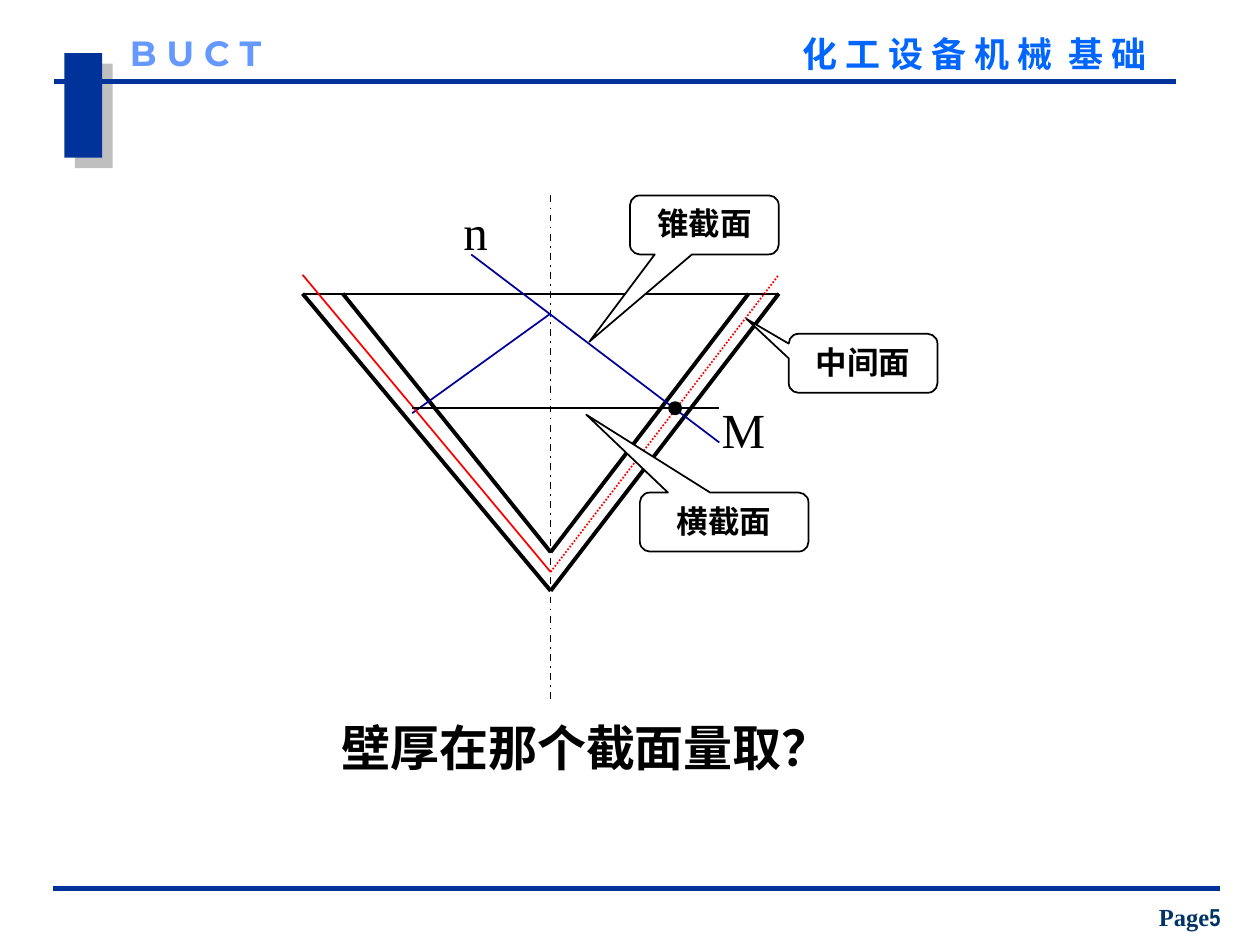
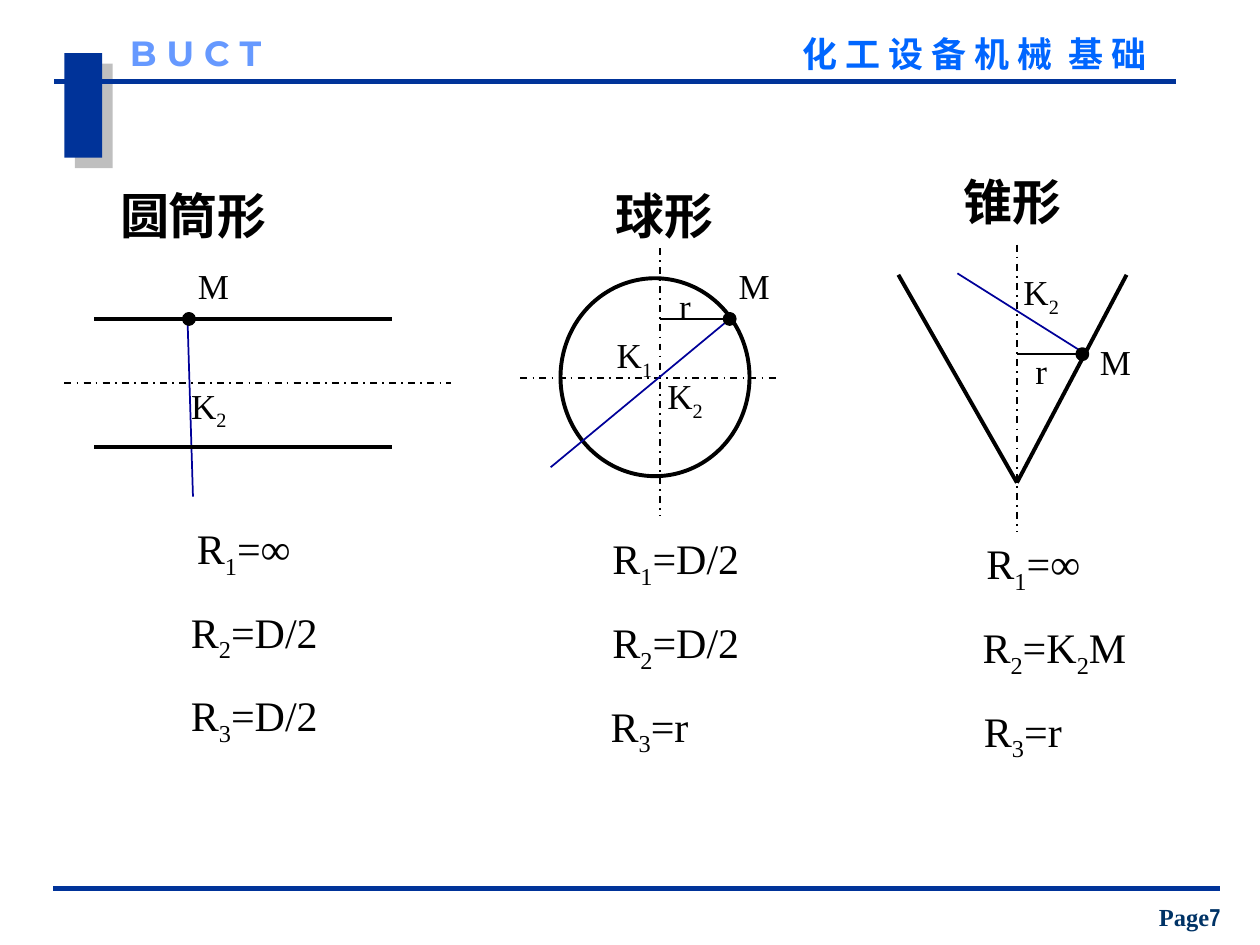
"""Build two slides on wall sections and curvature radii of shells of revolution."""
import dataclasses

import lxml.etree
import pptx
import pptx.dml.color
import pptx.enum.dml
import pptx.enum.shapes
import pptx.enum.text
import pptx.oxml.ns
import pptx.util

Cm = pptx.util.Cm
Pt = pptx.util.Pt
SHAPE = pptx.enum.shapes.MSO_SHAPE
DASH = pptx.enum.dml.MSO_LINE
ANCHOR = pptx.enum.text.MSO_ANCHOR
ALIGN = pptx.enum.text.PP_ALIGN
qn = pptx.oxml.ns.qn


@dataclasses.dataclass(frozen=True)
class Theme:
    band: str = "003399"
    shadow: str = "808080"
    course: str = "0066FF"
    school: str = "6699FF"
    page: str = "003366"
    ink: str = "000000"
    paper: str = "FFFFFF"
    normal: str = "000099"
    middle: str = "FF0000"
    serif: str = "Times New Roman"
    display: str = "Montserrat"
    narrow: str = "Arial Narrow"
    heading: int = 28
    formula: int = 24
    label: int = 20
    callout: int = 18
    footer: int = 14


THEME = Theme()

LINE_STYLES = {
    "band": (THEME.band, 3, None),
    "wall": (THEME.ink, 2.25, None),
    "thin": (THEME.ink, 1, None),
    "axis": (THEME.ink, 1, DASH.DASH_DOT),
    "normal": (THEME.normal, 1, None),
    "middle": (THEME.middle, 1, None),
    "middle dots": (THEME.middle, 1, DASH.ROUND_DOT),
}
DOT_SIZE = 0.2
CALLOUT_HEIGHT = 1.19
BAND_LINES = [(1.09, 1.65, 23.7, 1.65), (1.07, 17.91, 24.59, 17.91)]

SECTIONS = {
    "page": "5",
    "lines": [
        ("axis", 11.1, 3.94, 11.1, 14.12),
        ("wall", 6.1, 5.92, 11.1, 11.91),
        ("wall", 6.91, 5.92, 11.1, 11.13),
        ("wall", 11.1, 11.13, 15.09, 5.92),
        ("wall", 11.1, 11.91, 15.7, 5.92),
        ("thin", 6.1, 5.92, 15.7, 5.92),
        ("normal", 14.5, 8.92, 9.5, 5.13),
        ("normal", 11.1, 6.32, 8.31, 8.33),
        ("middle dots", 11.1, 11.53, 15.7, 5.54),
        ("middle", 6.1, 5.54, 11.1, 11.53),
        ("thin", 8.31, 8.23, 14.5, 8.23),
    ],
    "dots": [(13.61, 8.23)],
    "headings": [("壁厚在那个截面量取？", 3.51, 14.33, 16.61)],
    "large labels": [("M", 14.3, 7.92, 1.37), ("n", 8.89, 3.94, 1.4)],
    "callouts": [
        ("锥截面", 12.7, 3.94, 3.0, (11.88, 6.89)),
        ("中间面", 15.9, 6.73, 3.0, (15.05, 6.43)),
        ("横截面", 12.9, 9.93, 3.4, (11.82, 8.36)),
    ],
}

RADII = {
    "page": "7",
    "circles": [(11.3, 5.61, 3.81, 3.99)],
    "lines": [
        ("axis", 10.49, 7.62, 15.7, 7.62),
        ("axis", 13.31, 5.0, 13.31, 10.41),
        ("normal", 3.78, 6.43, 3.89, 10.01),
        ("wall", 1.9, 6.43, 7.9, 6.43),
        ("wall", 1.9, 9.02, 7.9, 9.02),
        ("axis", 1.3, 7.72, 9.09, 7.72),
        ("normal", 14.71, 6.43, 11.1, 9.42),
        ("thin", 14.71, 6.43, 13.31, 6.43),
        ("axis", 20.5, 4.93, 20.5, 10.72),
        ("wall", 18.11, 5.54, 20.5, 9.73),
        ("wall", 20.5, 9.73, 22.71, 5.54),
        ("normal", 21.89, 7.14, 19.3, 5.51),
        ("thin", 21.89, 7.14, 20.5, 7.14),
    ],
    "dots": [(3.81, 6.43), (14.71, 6.43), (21.82, 7.14)],
    "headings": [
        ("圆筒形", 1.5, 3.61, 4.8),
        ("球形", 11.1, 3.61, 4.6),
        ("锥形", 18.11, 3.33, 4.6),
    ],
    "labels": [
        ("M", 3.71, 5.21, 1.19),
        ("K_2", 3.51, 7.62, 1.4),
        ("M", 14.61, 5.21, 1.19),
        ("K_1", 12.09, 6.6, 1.4),
        ("K_2", 13.11, 7.42, 1.4),
        ("r", 13.11, 5.61, 1.4),
        ("M", 21.89, 6.73, 1.19),
        ("K_2", 20.29, 5.33, 1.4),
        ("r", 20.29, 6.93, 1.4),
    ],
    "formulas": [
        (2.31, 10.41, [("R_1=∞", 0), ("R_2=D/2", 12), ("R_3=D/2", 12)]),
        (10.49, 10.62, [("R_1=D/2", 30), ("R_2=D/2", 30), ("R_3=r", 0)]),
        (17.91, 10.72, [("R_1=∞", 18), ("R_2=K_2M", 42), ("R_3=r", 6)]),
    ],
}


def rgb(color):
    return pptx.dml.color.RGBColor.from_string(color)


def add_span(para, text, size, color=THEME.ink, bold=False, font=THEME.serif):
    span = para.add_run()
    span.text = text
    span.font.size = Pt(size)
    span.font.color.rgb = rgb(color)
    span.font.bold = bold
    span.font.name = font
    return span


def add_math(para, text, size, bold=False):
    base, *indexed = text.split("_")
    add_span(para, base, size, bold=bold)
    for piece in indexed:
        index = add_span(para, piece[0], size, bold=bold)
        index.font._element.set("baseline", "-25000")
        if piece[1:]:
            add_span(para, piece[1:], size, bold=bold)


def add_box(slide, left, top, width, height, inset=True):
    box = slide.shapes.add_textbox(Cm(left), Cm(top), Cm(width), Cm(height))
    frame = box.text_frame
    frame.word_wrap = True
    if not inset:
        frame.margin_left = frame.margin_right = 0
        frame.margin_top = frame.margin_bottom = 0
    return frame


def add_label(slide, text, left, top, width, size, bold=False):
    para = add_box(slide, left, top, width, size * 0.05).paragraphs[0]
    para.alignment = ALIGN.CENTER
    add_math(para, text, size, bold)


def add_formulas(slide, left, top, rows):
    frame = add_box(slide, left, top, 5.21, 4.78)
    for number, (text, indent) in enumerate(rows):
        para = frame.add_paragraph() if number else frame.paragraphs[0]
        para.alignment = ALIGN.CENTER
        if number:
            para.space_before = Pt(15)
        para._p.get_or_add_pPr().set("marL", str(Pt(indent)))
        add_math(para, text, THEME.formula)


def add_line(slide, style, x1, y1, x2, y2):
    color, width, dash = LINE_STYLES[style]
    line = slide.shapes.add_connector(
        pptx.enum.shapes.MSO_CONNECTOR.STRAIGHT, Cm(x1), Cm(y1), Cm(x2), Cm(y2))
    line.line.color.rgb = rgb(color)
    line.line.width = Pt(width)
    if dash:
        line.line.dash_style = dash
    lxml.etree.SubElement(line._element.spPr, qn("a:effectLst"))


def add_shape(slide, kind, left, top, width, height, fill, border=None):
    shape = slide.shapes.add_shape(kind, Cm(left), Cm(top), Cm(width), Cm(height))
    shape.shadow.inherit = False
    shape.fill.solid()
    shape.fill.fore_color.rgb = rgb(fill)
    if border:
        shape.line.color.rgb = rgb(THEME.ink)
        shape.line.width = Pt(border)
    else:
        shape.line.fill.background()
    return shape


def add_callout(slide, text, left, top, width, tip):
    shape = add_shape(slide, SHAPE.ROUNDED_RECTANGULAR_CALLOUT,
                      left, top, width, CALLOUT_HEIGHT, THEME.paper, 1)
    shape.adjustments[0] = (tip[0] - left) / width - 0.5
    shape.adjustments[1] = (tip[1] - top) / CALLOUT_HEIGHT - 0.5
    shape.text_frame.vertical_anchor = ANCHOR.TOP
    para = shape.text_frame.paragraphs[0]
    para.alignment = ALIGN.CENTER
    add_span(para, text, THEME.callout, bold=True)


def add_band(slide):
    band = add_shape(slide, SHAPE.RECTANGLE, 1.3, 1.07, 0.76, 2.11, THEME.band)
    effects = band._element.spPr.find(qn("a:effectLst"))
    shadow = lxml.etree.SubElement(effects, qn("a:outerShdw"), dist=str(Pt(8.5)),
                                   dir="2700000", algn="ctr", rotWithShape="0")
    color = lxml.etree.SubElement(shadow, qn("a:srgbClr"), val=THEME.shadow)
    lxml.etree.SubElement(color, qn("a:alpha"), val="50000")


def add_frame(slide, page):
    add_band(slide)
    for ends in BAND_LINES:
        add_line(slide, "band", *ends)

    course = add_box(slide, 16.18, 0.66, 7.8, 1.02, inset=False).paragraphs[0]
    add_span(course, "化 工 设 备 机 械", THEME.label, THEME.course, True)
    gap = add_span(course, " ", THEME.label, THEME.course, True)
    gap.font._element.set("spc", "450")
    add_span(course, "基 础", THEME.label, THEME.course, True)

    school = add_box(slide, 2.62, 0.64, 3.61, 0.84, inset=False).paragraphs[0]
    add_span(school, "B U C T", THEME.label, THEME.school, True, THEME.display)

    footer = add_box(slide, 22.78, 18.06, 2.41, 0.84)
    footer.vertical_anchor = ANCHOR.BOTTOM
    para = footer.paragraphs[0]
    para.alignment = ALIGN.CENTER
    add_span(para, "Page", THEME.footer, THEME.page, True)
    add_span(para, page, THEME.footer, THEME.page, True, THEME.narrow)


def add_drawing(deck, content):
    slide = deck.slides.add_slide(deck.slide_layouts[6])
    add_frame(slide, content["page"])
    for circle in content.get("circles", []):
        add_shape(slide, SHAPE.OVAL, *circle, THEME.paper, 2.25)
    for line in content["lines"]:
        add_line(slide, *line)
    for x, y in content["dots"]:
        add_shape(slide, SHAPE.OVAL, x - DOT_SIZE / 2, y - DOT_SIZE / 2,
                  DOT_SIZE, DOT_SIZE, THEME.ink, 2.25)
    for heading in content["headings"]:
        add_label(slide, *heading, THEME.heading, bold=True)
    for label in content.get("large labels", []):
        add_label(slide, *label, THEME.heading)
    for label in content.get("labels", []):
        add_label(slide, *label, THEME.label)
    for formulas in content.get("formulas", []):
        add_formulas(slide, *formulas)
    for callout in content.get("callouts", []):
        add_callout(slide, *callout)


def main():
    deck = pptx.Presentation()
    deck.slide_width, deck.slide_height = Cm(25.4), Cm(19.05)
    for content in (SECTIONS, RADII):
        add_drawing(deck, content)
    deck.save("out.pptx")


if __name__ == "__main__":
    main()
